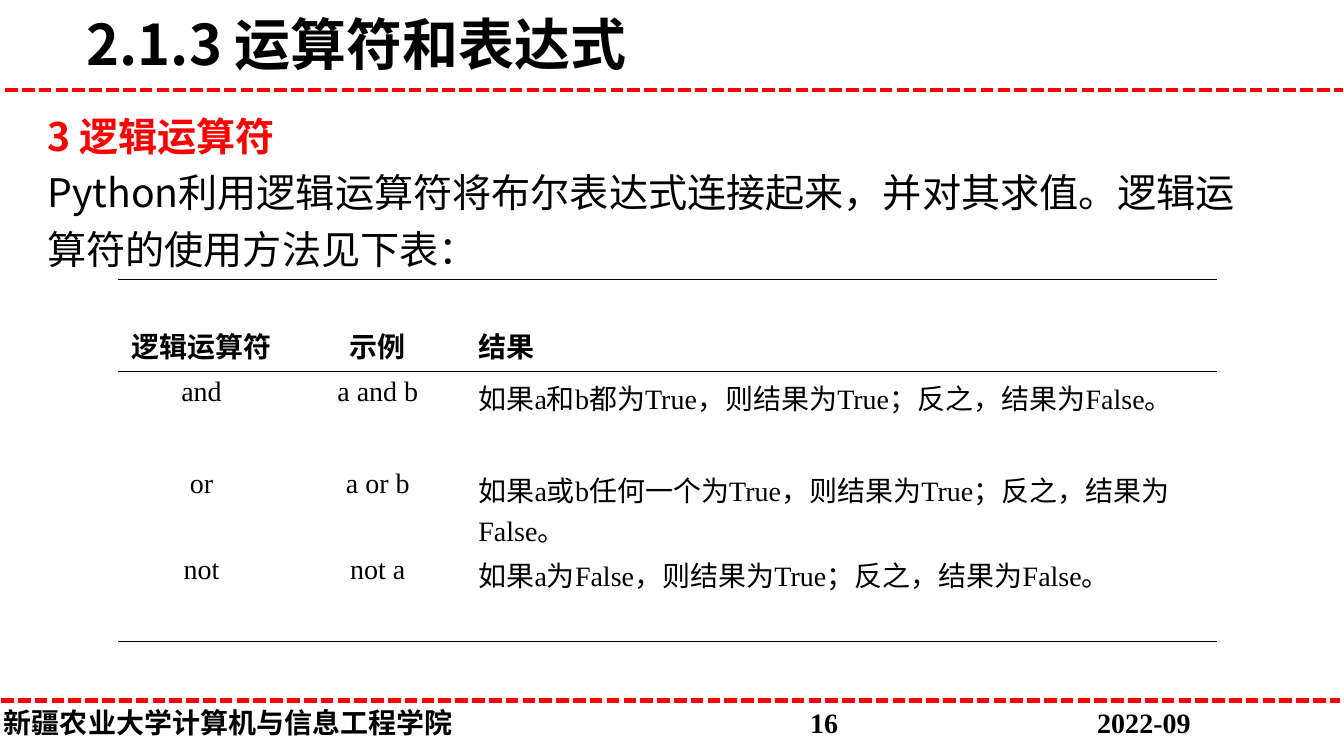
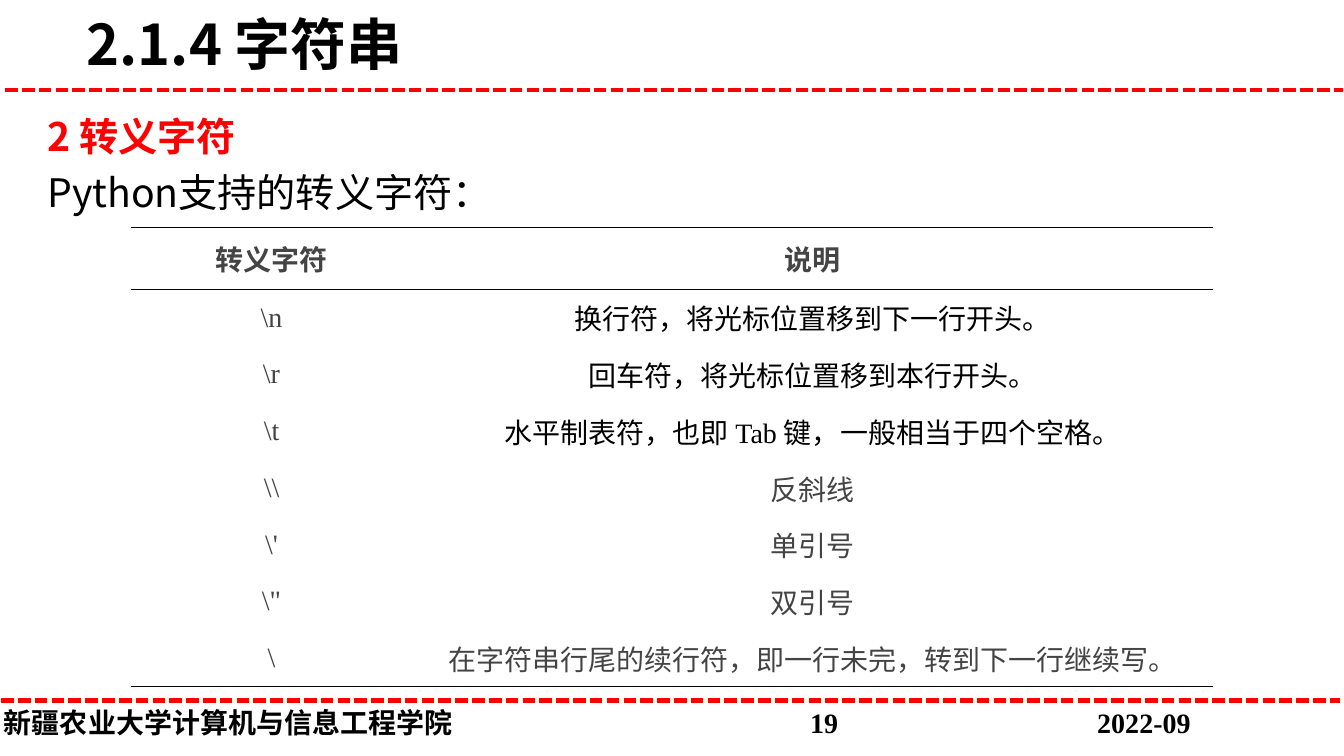
from lxml import etree
from pptx import Presentation
from pptx.dml.color import RGBColor
from pptx.enum.dml import MSO_LINE
from pptx.enum.lang import MSO_LANGUAGE_ID as Language
from pptx.enum.shapes import MSO_CONNECTOR as Connector
from pptx.enum.text import MSO_ANCHOR as Anchor, MSO_AUTO_SIZE as AutoSize, PP_ALIGN as Align
from pptx.oxml import parse_xml
from pptx.oxml.ns import nsdecls, qn
from pptx.util import Cm, Pt

SANS, SERIF = "Noto Sans CJK SC", "Times New Roman"
RED, BLACK, GREY, WHITE, RULE = "FF0000", "000000", "444444", "FFFFFF", "080000"
SCHOOL, DATE = "新疆农业大学计算机与信息工程学院", "2022-09"


def rgb(value):
    return RGBColor.from_string(value)


class Lecture:
    """Holds the style and the current slide."""

    def __init__(self):
        self.deck = Presentation()
        self.deck.slide_width, self.deck.slide_height = Cm(33.88), Cm(19.05)
        self.slide = None

    def style(self, para, size, font, color=BLACK, bold=False):
        for span in para.runs:
            span.font.size, span.font.bold = Pt(size), bold
            span.font.color.rgb = rgb(color)
            span.font.name = font
            span.font.language_id = Language.SIMPLIFIED_CHINESE
            latin = span.font._element.find(qn("a:latin"))
            latin.addnext(parse_xml(f'<a:ea {nsdecls("a")} typeface="{SANS}"/>'))

    def place(self, shape, left, top, width, height):
        shape.left, shape.top = Cm(left), Cm(top)
        shape.width, shape.height = Cm(width), Cm(height)

    def new_slide(self, title, number):
        self.slide = self.deck.slides.add_slide(self.deck.slide_layouts[1])
        self.dashes(0.03, 33.78, 17.65)
        self.footer(number)
        self.dashes(0.13, 33.86, 2.26)
        box = self.slide.shapes.title
        self.place(box, 1.93, -0.28, 20.6, 2.74)
        frame = box.text_frame
        frame.text = title
        frame.auto_size, frame.vertical_anchor = AutoSize.NONE, Anchor.MIDDLE
        frame.paragraphs[0].alignment = Align.LEFT
        self.style(frame.paragraphs[0], 40, SANS, bold=True)

    def dashes(self, left, right, top):
        line = self.slide.shapes.add_connector(
            Connector.STRAIGHT, Cm(left), Cm(top), Cm(right), Cm(top))
        line.line.color.rgb = rgb(RED)
        line.line.width = Pt(3)
        line.line.dash_style = MSO_LINE.SQUARE_DOT
        etree.SubElement(line._element.spPr, qn("a:effectLst"))

    def footer(self, number):
        box = self.slide.shapes.add_textbox(Cm(-0.15), Cm(17.65), Cm(33.68), Cm(1.12))
        box.text_frame.word_wrap = True
        para = box.text_frame.paragraphs[0]
        para.text = f"{SCHOOL}\t{number}\t{DATE}"
        stops = etree.SubElement(para._p.get_or_add_pPr(), qn("a:tabLst"))
        for position in (20.32, 27.56):
            etree.SubElement(stops, qn("a:tab"), pos=str(Cm(position)), algn="l")
        self.style(para, 20, SERIF, bold=True)

    def body(self, heading, text, height):
        box = self.slide.placeholders[1]
        self.place(box, 0.94, 2.46, 30.84, height)
        box.fill.solid()
        box.fill.fore_color.rgb = rgb(WHITE)
        frame = box.text_frame
        frame.text = f"{heading}\n{text}"
        frame.auto_size = AutoSize.NONE
        for para, color in zip(frame.paragraphs, (RED, BLACK)):
            props = para._p.get_or_add_pPr()
            props.set("marL", "0")
            props.set("indent", "0")
            etree.SubElement(props, qn("a:buNone"))
            para.line_spacing, para.space_before = 1.2, Pt(0)
            self.style(para, 28, SANS, color, bold=color == RED)

    def borders(self, cell, top, bottom):
        props = cell._tc.get_or_add_tcPr()
        sides = {"lnL": False, "lnR": False, "lnT": top, "lnB": bottom}
        for index, (side, shown) in enumerate(sides.items()):
            fill = (f'<a:solidFill><a:srgbClr val="{RULE}"/></a:solidFill>'
                    if shown else "<a:noFill/>")
            props.insert(index, parse_xml(
                f'<a:{side} {nsdecls("a")} w="{Pt(0.45)}">{fill}</a:{side}>'))

    def table(self, left, top, widths, heights, rows, aligns, side_margin,
              anchor=Anchor.TOP, head_spacing=1.0, color_of=lambda row, column: BLACK):
        """A table ruled above and below its head, and at its foot."""
        table = self.slide.shapes.add_table(
            len(rows), len(widths), Cm(left), Cm(top),
            Cm(sum(widths)), Cm(sum(heights))).table
        table.first_row = table.horz_banding = False
        for column, width in zip(table.columns, widths):
            column.width = Cm(width)
        for r, (texts, height) in enumerate(zip(rows, heights)):
            table.rows[r].height = Cm(height)
            for c, text in enumerate(texts):
                cell = table.cell(r, c)
                cell.fill.background()
                cell.margin_left = cell.margin_right = Cm(side_margin)
                cell.vertical_anchor = anchor
                self.borders(cell, top=r < 2, bottom=r in (0, len(rows) - 1))
                cell.text_frame.text = text
                para = cell.text_frame.paragraphs[0]
                para.alignment = aligns[c]
                if r == 0:
                    para.line_spacing = head_spacing
                self.style(para, 20, SERIF, color_of(r, c), bold=r == 0)


def main():
    lecture = Lecture()

    # Logical operators
    lecture.new_slide("2.1.3 运算符和表达式", 16)
    lecture.body("3 逻辑运算符",
                 "Python利用逻辑运算符将布尔表达式连接起来，并对其求值。逻辑运算符的使用方法见下表：", 4.52)
    operators = [
        ("逻辑运算符", "示例", "结果"),
        ("and", "a and b", "如果a和b都为True，则结果为True；反之，结果为False。"),
        ("or", "a or b", "如果a或b任何一个为True，则结果为True；反之，结果为False。"),
        ("not", "not a", "如果a为False，则结果为True；反之，结果为False。"),
    ]
    lecture.table(2.97, 7.04, [4.22, 4.67, 18.82], [2.32, 2.32, 2.16, 2.32], operators,
                  [Align.CENTER, Align.CENTER, Align.LEFT], 0.2, head_spacing=2.0)

    # Escape characters
    lecture.new_slide("2.1.4 字符串", 19)
    lecture.body("2 转义字符", "Python支持的转义字符：", 3.1)
    escapes = [
        ("转义字符", "说明"),
        (r"\n", "换行符，将光标位置移到下一行开头。"),
        (r"\r", "回车符，将光标位置移到本行开头。"),
        (r"\t", "水平制表符，也即 Tab 键，一般相当于四个空格。"),
        (r"\\", "反斜线"),
        (r"\'", "单引号"),
        (r'\"', "双引号"),
        ("\\", "在字符串行尾的续行符，即一行未完，转到下一行继续写。"),
    ]
    lecture.table(3.3, 5.72, [7.09, 20.19], [1.57] + [1.43] * 7, escapes,
                  [Align.CENTER] * 2, 0.13, Anchor.MIDDLE,
                  color_of=lambda row, column: BLACK if column and row in (1, 2, 3) else GREY)

    lecture.deck.save("out.pptx")


if __name__ == "__main__":
    main()
